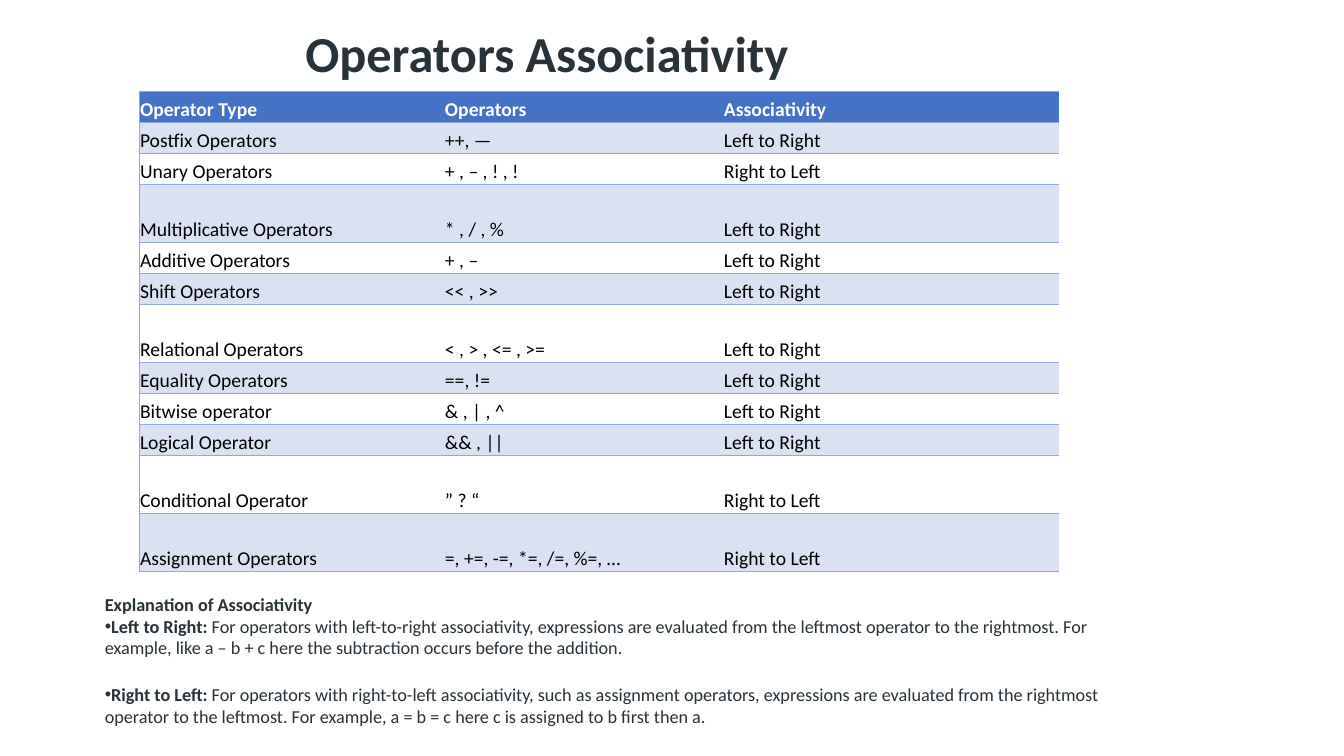
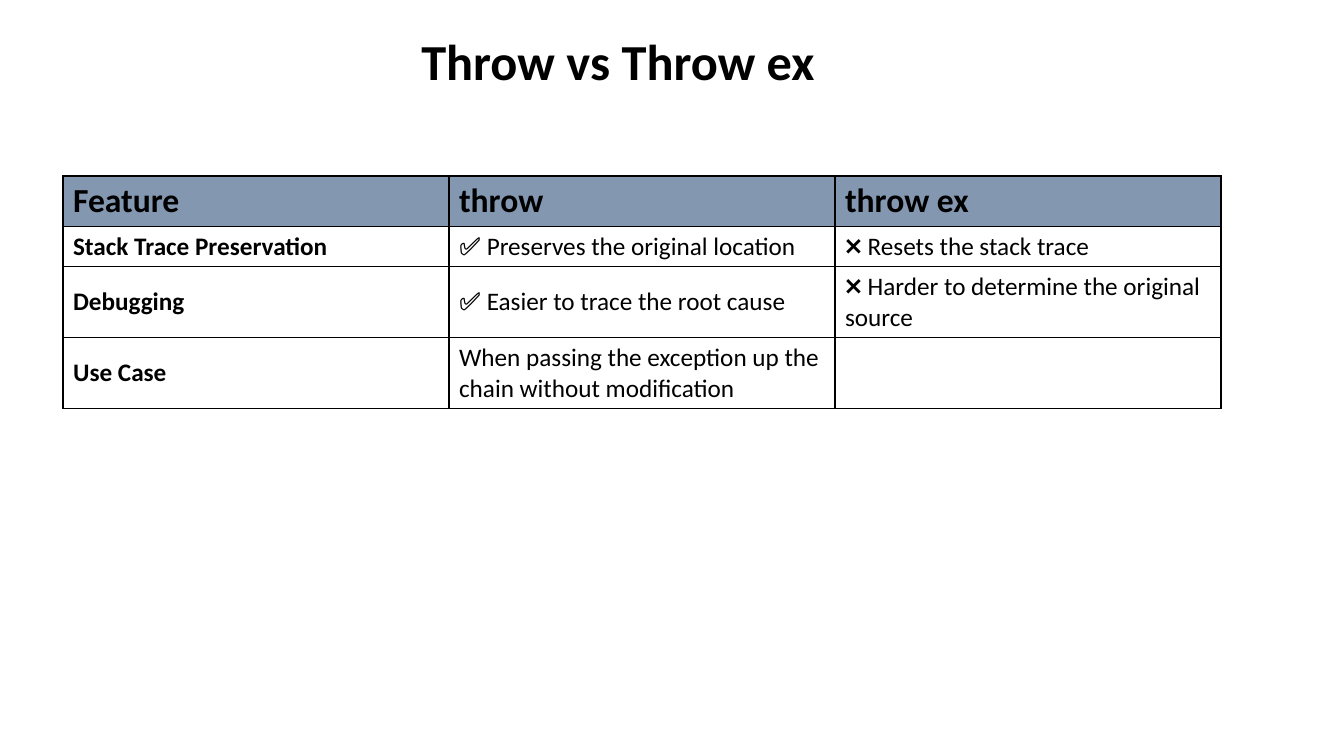
from lxml import etree
from pptx import Presentation
from pptx.dml.color import RGBColor
from pptx.enum.text import MSO_ANCHOR, PP_ALIGN
from pptx.oxml.ns import qn
from pptx.util import Pt

PX = 914400 / 100.8
FONT = "Calibri"
CENTER, LEFT = PP_ALIGN.CENTER, PP_ALIGN.LEFT
BOTTOM, MIDDLE = MSO_ANCHOR.BOTTOM, MSO_ANCHOR.MIDDLE
COLORS = {
    "ink": "273239",
    "black": "000000",
    "white": "FFFFFF",
    "header_blue": "4472C4",
    "band": "D9E1F2",
    "rule": "8EA9DB",
    "header_slate": "8497B0",
}


def add_runs(para, runs, size, color, align=LEFT):
    para.alignment = align
    for text, bold in runs:
        span = para.add_run()
        span.text = text
        span.font.name = FONT
        span.font.size = Pt(size)
        span.font.bold = bold
        span.font.color.rgb = RGBColor.from_string(COLORS[color])


def add_grid(page, left, top, widths, heights, style):
    frame = page.shapes.add_table(
        len(heights), len(widths), round(left * PX), round(top * PX),
        round(sum(widths) * PX), round(sum(heights) * PX))
    grid = frame.table
    grid.first_row = grid.horz_banding = False
    for column, width in zip(grid.columns, widths):
        column.width = round(width * PX)
    for row, height in zip(grid.rows, heights):
        row.height = round(height * PX)
    for number, row in enumerate(grid.rows):
        for position, cell in enumerate(row.cells):
            cell.vertical_anchor = style["anchor"]
            if style["insets"]:
                (cell.margin_left, cell.margin_top, cell.margin_right,
                 cell.margin_bottom) = [round(inset * PX) for inset in style["insets"]]
            properties = cell._tc.get_or_add_tcPr()
            for side in "LRTB":
                line = etree.SubElement(properties, qn("a:ln" + side), w=str(Pt(style["line_width"])))
                drawn = side in "TB" or style["inner_lines"] or (side == "L" and position == 0)
                fill = etree.SubElement(line, qn("a:solidFill" if drawn else "a:noFill"))
                if drawn:
                    etree.SubElement(fill, qn("a:srgbClr"), val=COLORS[style["line"]])
            fill_name = style["header"] if number == 0 else style["band"] if number % 2 else None
            if fill_name:
                cell.fill.solid()
                cell.fill.fore_color.rgb = RGBColor.from_string(COLORS[fill_name])
            else:
                cell.fill.background()
    return grid


deck = Presentation()
deck.slide_width = round(1344 * PX)
deck.slide_height = round(756 * PX)

titles = [
    ("Operators Associativity", "ink", 159, 17, 776),
    ("Throw vs Throw ex", "black", 282, 25, 672),
]
pages = []
for title, color, left, top, width in titles:
    page = deck.slides.add_slide(deck.slide_layouts[6])
    box = page.shapes.add_textbox(round(left * PX), round(top * PX), round(width * PX), round(72 * PX))
    box.text_frame.word_wrap = True
    add_runs(box.text_frame.paragraphs[0], [(title, True)], 36, color, CENTER)
    pages.append(page)
operators_page, throw_page = pages

LTR, RTL = "Left to Right", "Right to Left"
SHORT, TALL = 31, 58
operator_rows = [
    (SHORT, "Operator Type", "Operators", "Associativity"),
    (SHORT, "Postfix Operators", "++, —", LTR),
    (SHORT, "Unary Operators", "+ , – , ! , !", RTL),
    (TALL, "Multiplicative Operators", "* , / , %", LTR),
    (SHORT, "Additive Operators", "+ , –", LTR),
    (SHORT, "Shift Operators", "<< , >>", LTR),
    (TALL, "Relational Operators", "< , > , <= , >=", LTR),
    (SHORT, "Equality Operators", "==, !=", LTR),
    (SHORT, "Bitwise operator", "& , | , ^", LTR),
    (SHORT, "Logical Operator", "&& , ||", LTR),
    (TALL, "Conditional Operator", "” ? “", RTL),
    (TALL, "Assignment Operators", "=, +=, -=, *=, /=, %=, …", RTL),
]
operator_style = {
    "anchor": BOTTOM, "insets": (1, 1, 1, 0), "line": "rule", "line_width": 0.5,
    "inner_lines": False, "header": "header_blue", "band": "band",
}
operator_grid = add_grid(operators_page, 139, 91, [305, 279, 336],
                         [row[0] for row in operator_rows], operator_style)
for number, (height, *texts) in enumerate(operator_rows):
    for position, text in enumerate(texts):
        para = operator_grid.cell(number, position).text_frame.paragraphs[0]
        add_runs(para, [(text, number == 0)], 14, "black" if number else "white")

explanation = [
    [("Explanation of Associativity", True)],
    [("Left to Right:", True),
     (" For operators with left-to-right associativity, expressions are evaluated from the "
      "leftmost operator to the rightmost. For example, like a – b + c here the subtraction "
      "occurs before the addition.", False)],
    [("Right to Left: ", True),
     ("For operators with right-to-left associativity, such as assignment operators, "
      "expressions are evaluated from the rightmost operator to the leftmost. For example, "
      "a = b = c here c is assigned to b first then a.", False)],
]
box = operators_page.shapes.add_textbox(round(95 * PX), round(588 * PX), round(1033 * PX), round(168 * PX))
box.text_frame.word_wrap = True
for number, runs in enumerate(explanation):
    para = box.text_frame.add_paragraph() if number else box.text_frame.paragraphs[0]
    add_runs(para, runs, 13, "ink")
    if number:
        para.space_after = Pt(18)
        properties = para._p.get_or_add_pPr()
        properties.set("marL", "0")
        properties.set("indent", "0")
        etree.SubElement(properties, qn("a:buFont"), typeface="Arial")
        etree.SubElement(properties, qn("a:buChar"), char="•")

throw_rows = [
    ("Feature", "throw", "throw ex"),
    ("Stack Trace Preservation", "✅ Preserves the original location", "❌ Resets the stack trace"),
    ("Debugging", "✅ Easier to trace the root cause", "❌ Harder to determine the original source"),
    ("Use Case", "When passing the exception up the chain without modification", ""),
]
throw_style = {
    "anchor": MIDDLE, "insets": None, "line": "black", "line_width": 1,
    "inner_lines": True, "header": "header_slate", "band": None,
}
throw_grid = add_grid(throw_page, 63, 176, [386] * 3, [50, 40, 71, 71], throw_style)
for number, texts in enumerate(throw_rows):
    for position, text in enumerate(texts):
        if text:
            para = throw_grid.cell(number, position).text_frame.paragraphs[0]
            add_runs(para, [(text, number == 0 or position == 0)], 18 if number else 24, "black")

deck.save("out.pptx")
